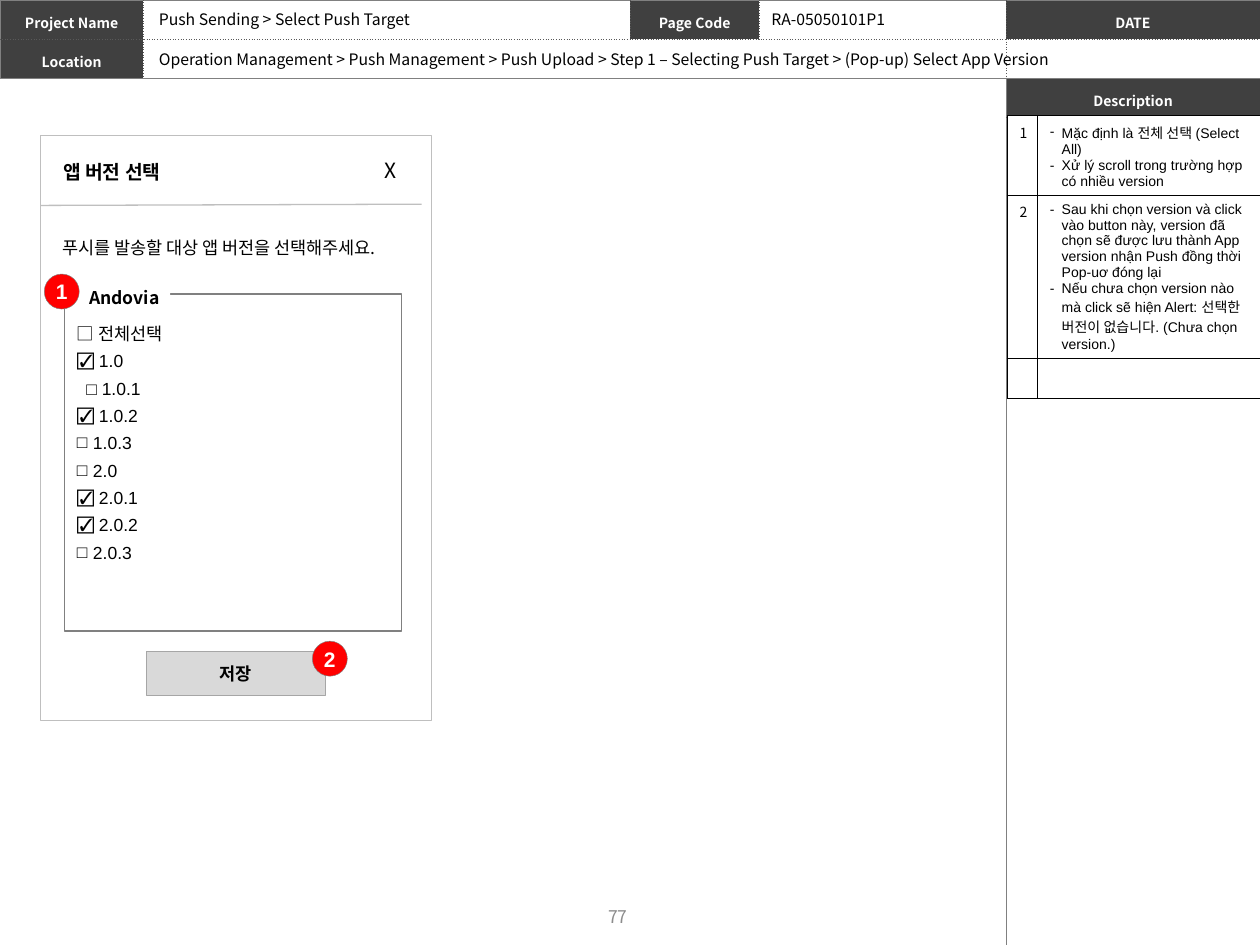
from dataclasses import dataclass

from lxml.etree import SubElement
from pptx import Presentation
from pptx.dml.color import RGBColor
from pptx.enum.shapes import MSO_CONNECTOR, MSO_SHAPE
from pptx.enum.text import MSO_ANCHOR, MSO_AUTO_SIZE, PP_ALIGN
from pptx.oxml.ns import qn
from pptx.util import Pt

BLACK = RGBColor(0x00, 0x00, 0x00)
WHITE = RGBColor(0xFF, 0xFF, 0xFF)
DARK = RGBColor(0x40, 0x40, 0x40)
DOTTED_GRAY = RGBColor(0x59, 0x59, 0x59)
GRAY = RGBColor(0x80, 0x80, 0x80)
PAGE_GRAY = RGBColor(0x8C, 0x8C, 0x8C)
BUTTON_EDGE = RGBColor(0xA6, 0xA6, 0xA6)
LIGHT_GRAY = RGBColor(0xBF, 0xBF, 0xBF)
BUTTON_FILL = RGBColor(0xD9, 0xD9, 0xD9)
RED = RGBColor(0xFF, 0x00, 0x00)
KOREAN, LATIN = "Noto Sans CJK KR", "Arial"


@dataclass(frozen=True)
class Style:
    size: float = 9
    font: str = KOREAN
    color: RGBColor = BLACK
    bold: bool = False
    spacing: float = 1.0
    align: PP_ALIGN = PP_ALIGN.LEFT


@dataclass(frozen=True)
class Line:
    text: str
    bullet: str = ""
    margin: float = 0
    indent: float = 0


@dataclass(frozen=True)
class Border:
    color: RGBColor
    dash: str = "solid"


SOLID = Border(GRAY)
DOTTED = Border(DOTTED_GRAY, "sysDot")
BLACK_EDGE = Border(BLACK)
HEADING = Style(8, color=WHITE, bold=True, spacing=1.3, align=PP_ALIGN.CENTER)
BADGE = Style(12, LATIN, WHITE, True, align=PP_ALIGN.CENTER)


def write(frame, lines: list[Line], style: Style) -> None:
    for i, line in enumerate(lines):
        paragraph = frame.paragraphs[0] if i == 0 else frame.add_paragraph()
        paragraph.alignment = style.align
        paragraph.line_spacing = style.spacing
        properties = paragraph._p.get_or_add_pPr()
        properties.set("marL", str(Pt(line.margin)))
        properties.set("indent", str(Pt(line.indent)))
        if line.bullet:
            SubElement(properties, qn("a:buFont"), typeface=LATIN)
            SubElement(properties, qn("a:buChar"), char=line.bullet)
        run = paragraph.add_run()
        run.text = line.text
        run.font.size = Pt(style.size)
        run.font.name = style.font
        run.font.bold = style.bold
        run.font.color.rgb = style.color
        SubElement(run._r.get_or_add_rPr(), qn("a:ea"), typeface=KOREAN)


def add_text(slide, left: float, top: float, width: float, height: float,
             lines: list[Line], style: Style, wrap: bool = False) -> None:
    box = slide.shapes.add_textbox(Pt(left), Pt(top), Pt(width), Pt(height))
    frame = box.text_frame
    frame.word_wrap = wrap
    if wrap:
        frame.vertical_anchor = MSO_ANCHOR.MIDDLE
    else:
        frame.auto_size = MSO_AUTO_SIZE.SHAPE_TO_FIT_TEXT
    write(frame, lines, style)


def add_box(slide, left: float, top: float, width: float, height: float,
            fill: RGBColor | None, edge: RGBColor | None, weight: float = 0.25,
            label: str = "", style: Style = Style(), kind=MSO_SHAPE.RECTANGLE) -> None:
    box = slide.shapes.add_shape(kind, Pt(left), Pt(top), Pt(width), Pt(height))
    box.shadow.inherit = False
    for paint, color in ((box.fill, fill), (box.line.fill, edge)):
        if color is None:
            paint.background()
        else:
            paint.solid()
            paint.fore_color.rgb = color
    if edge is not None:
        box.line.width = Pt(weight)
    if label:
        box.text_frame.word_wrap = False
        box.text_frame.vertical_anchor = MSO_ANCHOR.MIDDLE
        write(box.text_frame, [Line(label)], style)


def add_grid(slide, left: float, top: float, columns: list[float], rows: list[float]):
    table = slide.shapes.add_table(len(rows), len(columns), Pt(left), Pt(top),
                                   Pt(sum(columns)), Pt(sum(rows))).table
    table.first_row = table.horz_banding = False
    for column, width in zip(table.columns, columns):
        column.width = Pt(width)
    for row, height in zip(table.rows, rows):
        row.height = Pt(height)
    return table


def format_cell(cell, borders: tuple[Border, ...], fill: RGBColor | None,
                lines: list[Line], style: Style) -> None:
    """Borders are given as left, right, top, bottom."""
    properties = cell._tc.get_or_add_tcPr()
    for side, border in zip("LRTB", borders):
        edge = SubElement(properties, qn(f"a:ln{side}"), w=str(Pt(0.5)))
        paint = SubElement(edge, qn("a:solidFill"))
        SubElement(paint, qn("a:srgbClr"), val=str(border.color))
        SubElement(edge, qn("a:prstDash"), val=border.dash)
    if fill is None:
        cell.fill.background()
    else:
        cell.fill.solid()
        cell.fill.fore_color.rgb = fill
    if lines:
        write(cell.text_frame, lines, style)
    else:
        SubElement(cell.text_frame.paragraphs[0]._p, qn("a:endParaRPr"), sz="800")


def add_page_frame(slide, columns: list[float], top: float, rows: list[float],
                   headings: list[list[str]]) -> None:
    """Table with dark heading cells, solid outside and dotted inside."""
    table = add_grid(slide, 720 - sum(columns), top, columns, rows)
    last_row, last_column = len(rows) - 1, len(columns) - 1
    for r, heading_row in enumerate(headings):
        for c, heading in enumerate(heading_row):
            cell = table.cell(r, c)
            cell.margin_left = cell.margin_right = Pt(3)
            cell.margin_top = cell.margin_bottom = Pt(3)
            cell.vertical_anchor = MSO_ANCHOR.MIDDLE
            outside = (c == 0, c == last_column, r == 0, r == last_row)
            borders = tuple(SOLID if outer else DOTTED for outer in outside)
            format_cell(cell, borders, DARK if heading else None,
                        [Line(heading)] if heading else [], HEADING)
    if last_column:
        table.cell(1, 1).merge(table.cell(1, 3))


def dash(text: str) -> Line:
    return Line(text, "-", 6.75, -6.75)


def version(number: str, checked: bool = False) -> Line:
    return Line(f" {number}", "☑" if checked else "□", 6.5, -6.5)


def main() -> None:
    presentation = Presentation()
    presentation.slide_width, presentation.slide_height = Pt(720), Pt(540)
    slide = presentation.slides.add_slide(presentation.slide_layouts[6])

    # Page header and description column
    add_page_frame(slide, [82, 278, 74, 141, 145], 0, [22.3, 22.3],
                   [["Project Name", "", "Page Code", "", "DATE"], ["Location", "", "", "", ""]])
    add_page_frame(slide, [145], 44.6, [22.3, 473.1], [["Description"], [""]])
    for left, top, width, text in (
            (83.7, 2.2, 160, "Push Sending > Select Push Target"),
            (83.7, 24.8, 539, "Operation Management > Push Management > Push Upload > Step 1 – "
                              "Selecting Push Target > (Pop-up) Select App Version"),
            (433.7, 2.2, 81, "RA-05050101P1")):
        add_text(slide, left, top, width, 18, [Line(text)], Style())

    # Pop-up window
    add_box(slide, 23, 77.3, 223.5, 334.5, WHITE, LIGHT_GRAY)
    rule = slide.shapes.add_connector(MSO_CONNECTOR.STRAIGHT, Pt(23.5), Pt(117.4), Pt(241), Pt(116.7))
    rule.line.color.rgb = LIGHT_GRAY
    rule.line.width = Pt(0.75)
    SubElement(rule._element.spPr, qn("a:effectLst"))
    add_text(slide, 29, 87.8, 78, 21, [Line("앱 버전 선택")], Style(11, bold=True))
    add_text(slide, 212.4, 86.4, 22, 22, [Line("X")], Style(12))
    add_box(slide, 83.5, 372.2, 102.5, 25, BUTTON_FILL, BUTTON_EDGE, label="저장",
            style=Style(10, bold=True, align=PP_ALIGN.CENTER))
    add_text(slide, 28.5, 128.2, 216, 23, [Line("푸시를 발송할 대상 앱 버전을 선택해주세요.")],
             Style(10, spacing=1.3))

    # Version list
    versions = [Line("□ 전체선택"), version("1.0", True), Line("□ 1.0.1", margin=5.5),
                version("1.0.2", True), version("1.0.3"), version("2.0"),
                version("2.0.1", True), version("2.0.2", True), version("2.0.3")]
    add_text(slide, 36.8, 177.5, 68, 149, versions, Style(10, LATIN, spacing=1.3))
    add_box(slide, 36.8, 168, 192.7, 192.7, None, GRAY, 0.75)
    add_box(slide, 44, 157.3, 53.3, 21.6, WHITE, None, label="Andovia",
            style=Style(10, bold=True, spacing=1.3))

    # Description notes
    notes = [
        ("1", [dash("Mặc định là 전체 선택 (Select All)"),
               dash("Xử lý scroll trong trường hợp có nhiều version")]),
        ("2", [dash("Sau khi chọn version và click vào button này, version đã chọn sẽ được lưu "
                    "thành App version nhận Push đồng thời Pop-uơ đóng lại"),
               dash("Nếu chưa chọn version nào mà click sẽ hiện Alert: 선택한 버전이 없습니다. "
                    "(Chưa chọn version.)")]),
        ("", []),
    ]
    table = add_grid(slide, 575.5, 66, [17, 127.5], [45.5, 93, 22.5])
    for r, (number, lines) in enumerate(notes):
        format_cell(table.cell(r, 0), (BLACK_EDGE,) * 4, WHITE,
                    [Line(number)] if number else [], Style(8))
        table.cell(r, 1).margin_right = Pt(8.5)
        format_cell(table.cell(r, 1), (BLACK_EDGE,) * 4, WHITE, lines, Style(8, LATIN))

    # Numbered badges and page number
    for number, left, top in (("1", 25.3, 156.6), ("2", 178.5, 366.4)):
        add_box(slide, left, top, 20, 20, RED, GRAY, label=number, style=BADGE, kind=MSO_SHAPE.OVAL)
    add_text(slide, 269, 509.6, 168, 28.8, [Line("77")],
             Style(10, color=PAGE_GRAY, align=PP_ALIGN.CENTER), wrap=True)

    presentation.save("out.pptx")


if __name__ == "__main__":
    main()
